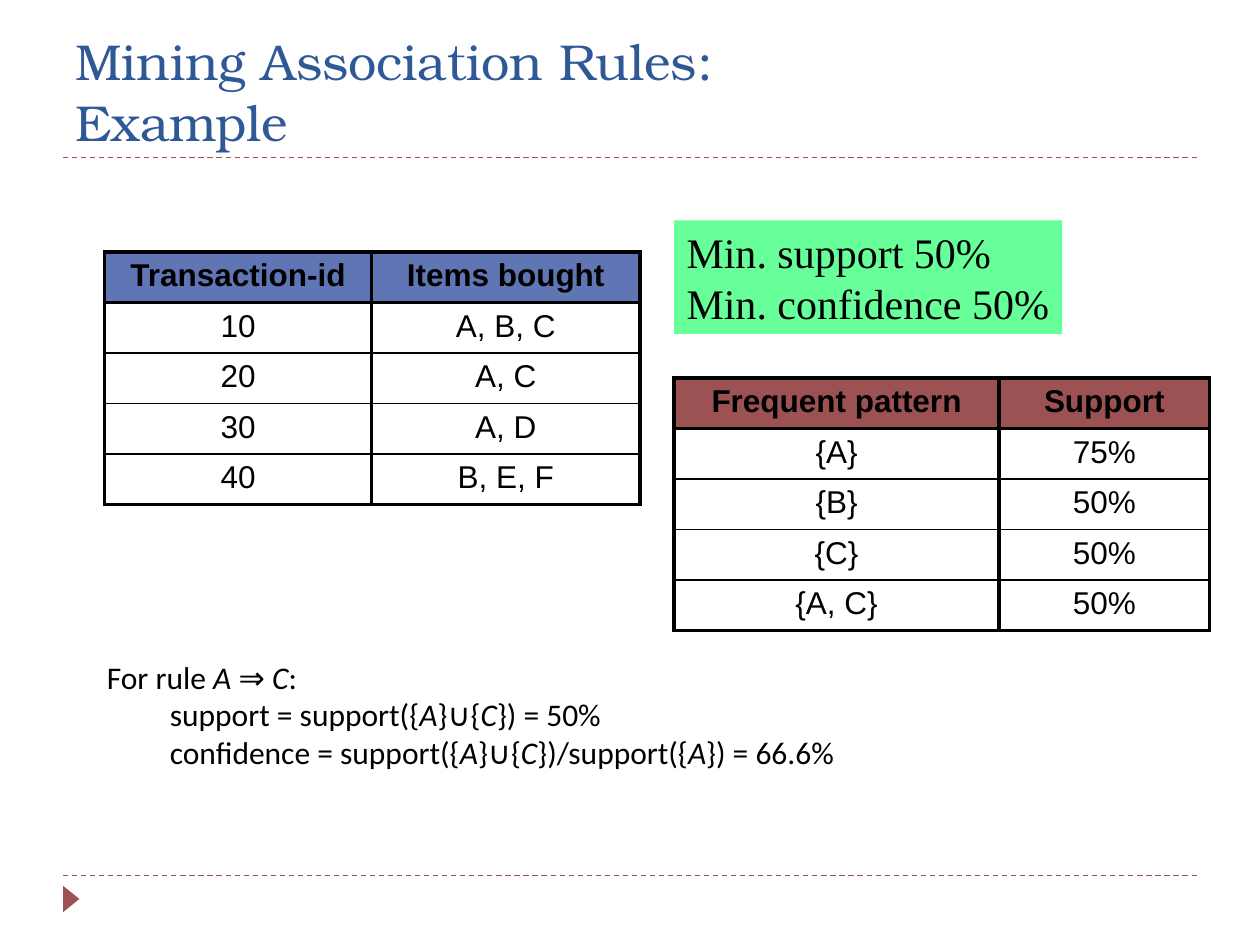
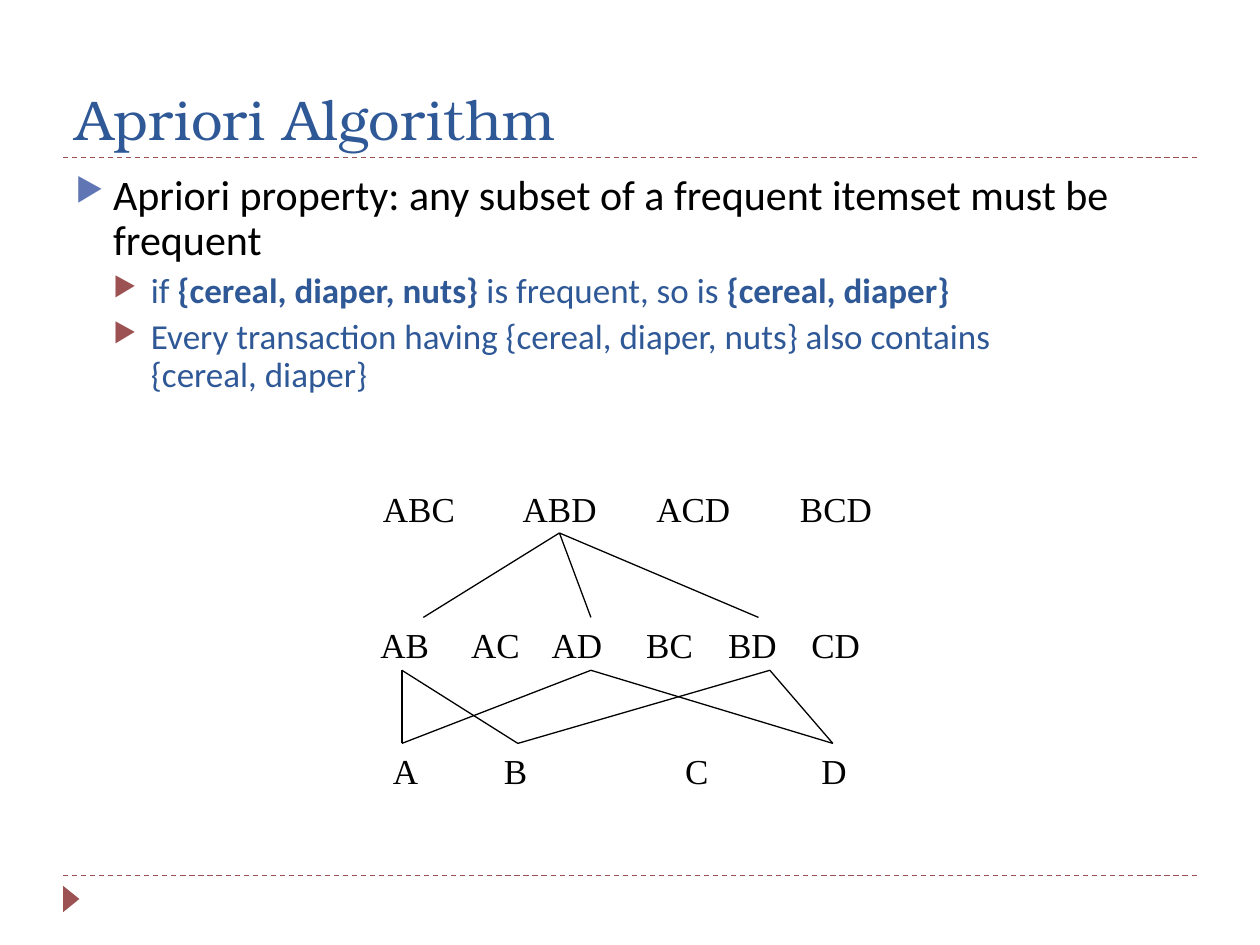
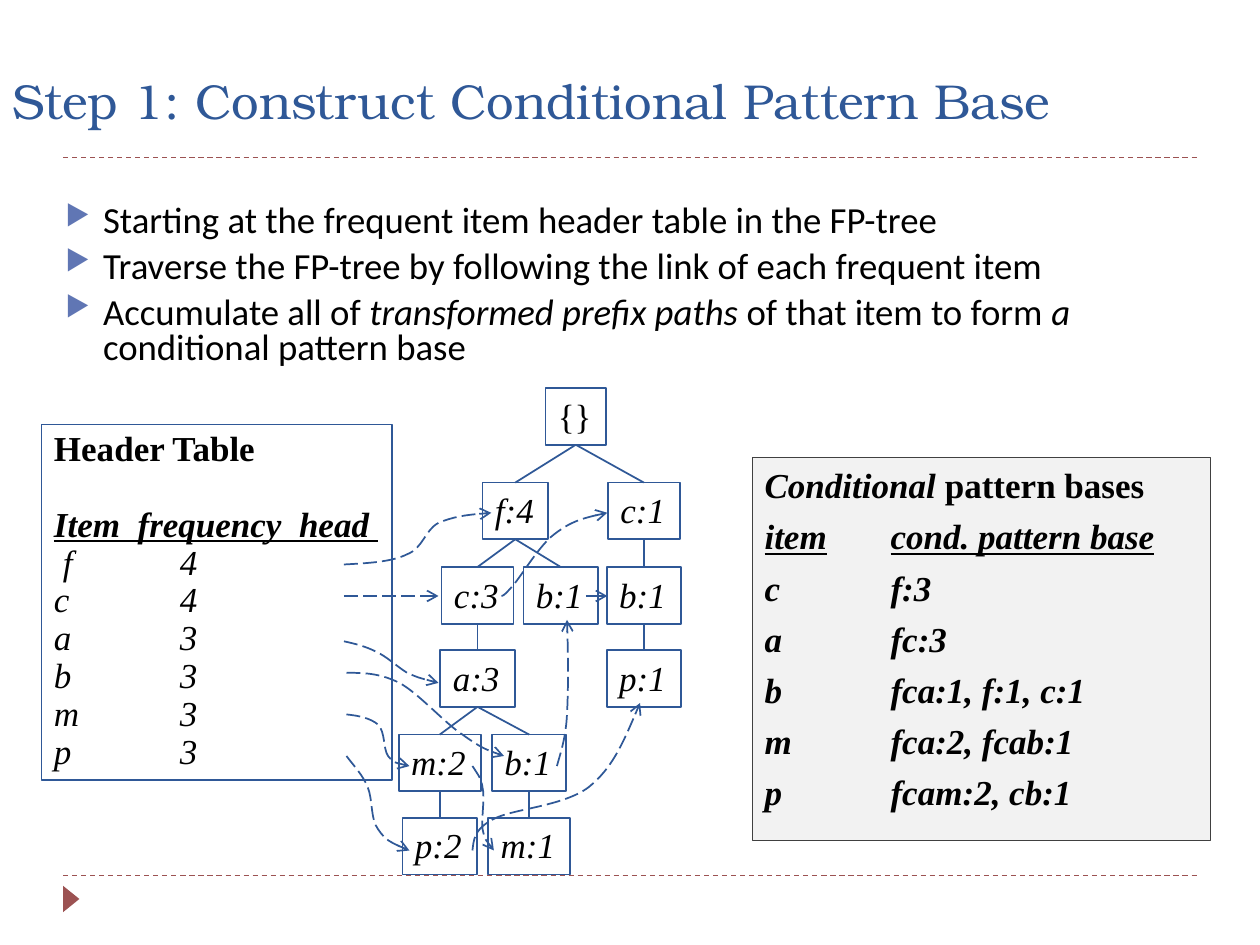
from lxml import etree
from pptx import Presentation
from pptx.dml.color import RGBColor
from pptx.enum.dml import MSO_LINE
from pptx.enum.shapes import MSO_CONNECTOR, MSO_SHAPE
from pptx.enum.text import MSO_ANCHOR, PP_ALIGN
from pptx.oxml.ns import qn
from pptx.util import Pt

PX = 9144  # 100 px to the inch
RECT, TRIANGLE = MSO_SHAPE.RECTANGLE, MSO_SHAPE.ISOSCELES_TRIANGLE
STRAIGHT = MSO_CONNECTOR.STRAIGHT
DASH, LONG = MSO_LINE.DASH, MSO_LINE.LONG_DASH
TOP, MIDDLE, BOTTOM = MSO_ANCHOR.TOP, MSO_ANCHOR.MIDDLE, MSO_ANCHOR.BOTTOM
CENTER, LEFT = PP_ALIGN.CENTER, PP_ALIGN.LEFT

BLACK, WHITE, NAVY, BLUE, RED = "000000", "FFFFFF", "2F5897", "6076B4", "9C5252"
GREEN, PALE, GRAY = "66FF99", "F2F2F2", "404040"

HEAD = dict(name="TeX Gyre Bonum", color=NAVY)
BODY = dict(name="Calibri", color=BLACK, mark="italic")
SERIF = dict(name="Times New Roman", color=BLACK, size=20)
GRID = dict(name="Arial", color=BLACK, size=18, align=CENTER)
HANG = dict(indent=30, first=-30, before=6, bullet=BLUE)
SUB = dict(indent=60, first=-30, before=5, bullet=RED, size=20, color=NAVY)

# Words between asterisks get the attribute named by "mark".
MINIMA = ["Min. support 50%", "Min. confidence 50%"]
BOUGHT = [("Transaction-id", "Items bought"), ("10", "A, B, C"), ("20", "A, C"),
          ("30", "A, D"), ("40", "B, E, F")]
FREQUENT = [("Frequent pattern", "Support"), ("{A}", "75%"), ("{B}", "50%"),
            ("{C}", "50%"), ("{A, C}", "50%")]
RULE = [
    "For rule *A *⇒ *C*:",
    ("support = support({*A*}∪{*C*}) = 50%", dict(indent=50)),
    ("confidence = support({*A*}∪{*C*})/support({*A*}) = 66.6%", dict(indent=50)),
]

PROPERTY = [
    ("Apriori property: any subset of a frequent itemset must be frequent", HANG),
    ("if *{cereal, diaper, nuts}* is frequent, so is *{cereal, diaper}*", SUB),
    ("Every transaction having {cereal, diaper, nuts} also contains\n{cereal, diaper}", SUB),
]
# left, top, width, labels, tab stops
LEVELS = [
    (294, 382, 412, "ABC ABD ACD BCD", (111, 217, 331)),
    (292, 490, 442, "AB AC AD BC BD CD", (72, 136, 211, 276, 342)),
    (302, 590, 390, "A B C D", (88, 232, 340)),
]
# upper y, lower y, {upper x: lower xs}
SUBSETS = [
    (423, 490, {444: (336, 469, 602)}),
    (532, 590, {319: (319, 411), 469: (319, 661), 611: (411, 661)}),
]

STEPS = [
    "Starting at the frequent item header table in the FP-tree",
    "Traverse the FP-tree by following the link of each frequent item",
    "Accumulate all of *transformed prefix paths* of that item to form *a* "
    "conditional pattern base",
]
COUNTS = [("c", 4), ("a", 3), ("b", 3), ("m", 3), ("p", 3)]
HEADER = [
    ("Header Table", dict(bold=True)),
    ("Item  frequency  head ", dict(bold=True, italic=True, underline=True, before=22)),
    ("f\t4", dict(italic=True, indent=7, tabs=(93,))),
    *[(f"{item}\t{count}", dict(italic=True, tabs=(100,))) for item, count in COUNTS],
]
BASES = [("c", "f:3"), ("a", "fc:3"), ("b", "fca:1, f:1, c:1"),
         ("m", "fca:2, fcab:1"), ("p", "fcam:2, cb:1")]
ENTRY = dict(italic=True, spacing=0.8, before=10, tabs=(100,))
PATTERNS = [
    "*Conditional *pattern bases",
    ("item\tcond. pattern base", ENTRY | dict(underline=True)),
    *[(f"{item}\t{base}", ENTRY) for item, base in BASES],
]
# key: label, centre x, row, width
NODES = {
    "root": ("{}", 457, 0, 48), "f4": ("f:4", 409, 1, 52), "c1": ("c:1", 511, 1, 57),
    "c3": ("c:3", 379, 2, 57), "b": ("b:1", 445, 2, 59), "cb": ("b:1", 511, 2, 59),
    "a3": ("a:3", 379, 3, 59), "p1": ("p:1", 511, 3, 59), "m2": ("m:2", 349, 4, 65),
    "ab": ("b:1", 420, 4, 59), "p2": ("p:2", 349, 5, 59), "m1": ("m:1", 420, 5, 65),
}
EDGES = ("root-f4 root-c1 f4-c3 f4-b c1-cb c3-a3 cb-p1 a3-m2 a3-ab m2-p2 ab-m1").split()
ARROWS = [((273, 473), (348, 473)), ((465, 473), (482, 473))]
# start point, then two handles and an end point for each bend
CURVES = [
    [(273, 448), (292, 447), (311, 446), (323, 440), (336, 435), (337, 421), (348, 415),
     (360, 410), (375, 408), (390, 407)],
    [(398, 473), (399, 473), (400, 473), (407, 465), (414, 457), (428, 433), (440, 424),
     (453, 414), (467, 410), (482, 407)],
    [(273, 509), (282, 511), (290, 513), (298, 517), (307, 521), (315, 529), (323, 534),
     (332, 538), (340, 540), (348, 542)],
    [(275, 534), (288, 534), (301, 534), (317, 542), (332, 550), (353, 574), (367, 583),
     (381, 593), (390, 597), (400, 600)],
    [(442, 608), (445, 597), (449, 586), (450, 567), (451, 547), (451, 520), (450, 492)],
    [(275, 567), (285, 568), (294, 570), (300, 575), (306, 581), (304, 594), (308, 600),
     (313, 606), (319, 607), (325, 608)],
    [(375, 608), (378, 613), (382, 617), (383, 625), (385, 633), (382, 650), (383, 658),
     (385, 667), (388, 671), (392, 675)],
    [(275, 600), (281, 608), (288, 615), (292, 625), (296, 635), (294, 650), (300, 658),
     (306, 667), (315, 671), (325, 675)],
    [(375, 675), (376, 667), (376, 658), (392, 650), (407, 642), (447, 640), (467, 625),
     (486, 610), (497, 584), (508, 558)],
]


def rgb(code):
    return RGBColor.from_string(code)


def emu(*sizes):
    return [round(size * PX) for size in sizes]


def child(parent, tag, **attrs):
    node = etree.SubElement(parent, qn("a:" + tag))
    for key, value in attrs.items():
        node.set(key, str(value))
    return node


def style(font, fmt):
    for key in ("name", "bold", "italic", "underline"):
        if key in fmt:
            setattr(font, key, fmt[key])
    font.size = Pt(fmt["size"])
    font.color.rgb = rgb(fmt["color"])


def layout(para, fmt, first):
    props = para._p.get_or_add_pPr()
    for key, name in (("indent", "marL"), ("first", "indent")):
        if key in fmt:
            props.set(name, str(fmt[key] * PX))
    if "bullet" in fmt:
        child(child(props, "buClr"), "srgbClr", val=fmt["bullet"])
        child(props, "buSzPct", val=76000)
        child(props, "buFont", typeface="OpenSymbol")
        child(props, "buChar", char="▶")
    if "tabs" in fmt:
        stops = child(props, "tabLst")
        for stop in fmt["tabs"]:
            child(stops, "tab", pos=stop * PX, algn="l")
    para.alignment = fmt.get("align", LEFT)
    para.line_spacing = fmt.get("spacing", 1.0)
    para.space_before = Pt(0 if first else fmt.get("before", 0))


def write(frame, paras, base, anchor=TOP, wrap=True):
    frame.word_wrap, frame.vertical_anchor = wrap, anchor
    for n, item in enumerate(paras):
        text, extra = (item, {}) if isinstance(item, str) else item
        fmt = base | extra
        para = frame.add_paragraph() if n else frame.paragraphs[0]
        layout(para, fmt, n == 0)
        for k, part in enumerate(text.split("*")):
            look = fmt | {fmt["mark"]: True} if k % 2 else fmt
            for j, line in enumerate(part.split("\n")):
                if j:
                    para.add_line_break()
                if line:
                    run = para.add_run()
                    run.text = line
                    style(run.font, look)


def stroke(shape, color, width, dash=None, arrow=False):
    shape.line.color.rgb = rgb(color)
    shape.line.width = Pt(width)
    if dash:
        shape.line.dash_style = dash
    if arrow:
        child(shape._element.spPr.find(qn("a:ln")), "tailEnd", type="arrow")


def link(slide, start, end, *look):
    line = slide.shapes.add_connector(STRAIGHT, *emu(*start, *end))
    stroke(line, *look)
    child(line._element.spPr, "effectLst")
    return line


def curve(slide, points):
    """Draw a dashed arrow through joined cubic bends."""
    pen = slide.shapes.build_freeform(*emu(*points[0]))
    pen.add_line_segments([emu(*point) for point in points[1:]], close=False)
    shape = pen.convert_to_shape()
    route = shape._element.spPr.find(".//" + qn("a:path"))
    legs = route.findall(qn("a:lnTo"))
    for n in range(0, len(legs), 3):
        bend = child(route, "cubicBezTo")
        for leg in legs[n:n + 3]:
            bend.append(leg[0])
            route.remove(leg)
    shape.shadow.inherit = False
    shape.fill.background()
    stroke(shape, NAVY, 1, LONG, True)


def block(slide, box, fill=None, line=None, kind=RECT):
    shape = slide.shapes.add_shape(kind, *emu(*box))
    shape.shadow.inherit = False
    if fill:
        shape.fill.solid()
        shape.fill.fore_color.rgb = rgb(fill)
    else:
        shape.fill.background()
    if line:
        stroke(shape, *line)
    else:
        shape.line.fill.background()
    return shape


def words(slide, box, paras, base, **rest):
    write(slide.shapes.add_textbox(*emu(*box)).text_frame, paras, base, **rest)


def table(slide, left, top, widths, rows, tint, height=40):
    last = len(rows) - 1
    box = emu(left, top, sum(widths), height * len(rows))
    grid = slide.shapes.add_table(len(rows), len(widths), *box).table
    grid.first_row = grid.horz_banding = False
    for col, width in zip(grid.columns, widths):
        col.width = width * PX
    for r, row in enumerate(rows):
        grid.rows[r].height = height * PX
        upper = 2.25 if r < 2 else 1
        lower = 2.25 if r in (0, last) else 1
        for c, text in enumerate(row):
            cell = grid.cell(r, c)
            props = cell._tc.get_or_add_tcPr()
            for side, width in zip("LRTB", (2.25, 2.25, upper, lower)):
                edge = child(props, "ln" + side, w=Pt(width))
                child(child(edge, "solidFill"), "srgbClr", val=BLACK)
            if r:
                cell.fill.background()
            else:
                cell.fill.solid()
                cell.fill.fore_color.rgb = rgb(tint)
            write(cell.text_frame, [text], GRID | dict(bold=r == 0))


def page(deck, title, size, box=(50, 17, 900, 108), spacing=1.0):
    """Add a slide with the shared rules, marker and title."""
    slide = deck.slides.add_slide(deck.slide_layouts[6])
    for y in (695, 125):
        link(slide, (50, y), (950, y), RED, 0.75, DASH)
    block(slide, (46, 707, 21, 13), RED, kind=TRIANGLE).rotation = 90
    words(slide, box, [title], HEAD | dict(size=size, spacing=spacing), anchor=BOTTOM)
    return slide


def rules(deck):
    slide = page(deck, "Mining Association Rules:\nExample", 28.8)
    note = block(slide, (535, 175, 308, 90), GREEN)
    write(note.text_frame, MINIMA, SERIF | dict(size=24), MIDDLE, False)
    table(slide, 83, 200, (212, 213), BOUGHT, BLUE)
    table(slide, 535, 300, (258, 167), FREQUENT, RED)
    words(slide, (75, 517, 850, 101), RULE, BODY | dict(size=18))


def apriori(deck):
    slide = page(deck, "Apriori Algorithm", 32)
    words(slide, (50, 133, 900, 540), PROPERTY,
          BODY | dict(size=24, spacing=0.9, mark="bold"))
    for left, top, width, labels, tabs in LEVELS:
        words(slide, (left, top, width, 43), ["\t".join(labels.split())],
              SERIF | dict(tabs=tabs))
    for upper, lower, fans in SUBSETS:
        for x, ends in fans.items():
            for end in ends:
                link(slide, (x, upper), (end, lower), BLACK, 0.75)


def tree(slide):
    made = {}
    for key, (label, mid, row, width) in NODES.items():
        top = 383 + (133 * (row - 1) + 1) // 2 if row else 308
        node = block(slide, (mid - width / 2, top, width, 45), line=(NAVY, 1))
        write(node.text_frame, [label], SERIF | dict(italic=key != "root"), wrap=False)
        made[key] = node
    for edge in EDGES:
        above, below = (made[key] for key in edge.split("-"))
        line = link(slide, (0, 0), (0, 0), NAVY, 1)
        line.begin_connect(above, 2)
        line.end_connect(below, 0)


def pattern(deck):
    slide = page(deck, "Step 1: Construct Conditional Pattern Base", 28,
                 (0, 33, 1000, 75), 0.9)
    words(slide, (42, 158, 917, 167), STEPS, BODY | HANG | dict(size=21, spacing=0.8))
    bases = block(slide, (597, 363, 364, 304), PALE, (GRAY, 0.75))
    write(bases.text_frame, PATTERNS, SERIF | dict(bold=True, mark="italic"))
    tree(slide)
    header = block(slide, (33, 337, 278, 282), WHITE, (NAVY, 1))
    write(header.text_frame, HEADER, SERIF | dict(spacing=0.9), wrap=False)
    for start, end in ARROWS:
        link(slide, start, end, NAVY, 1, LONG, True)
    for points in CURVES:
        curve(slide, points)


def main():
    deck = Presentation()
    deck.slide_width, deck.slide_height = emu(1000, 750)
    for build in (rules, apriori, pattern):
        build(deck)
    deck.save("out.pptx")


if __name__ == "__main__":
    main()
